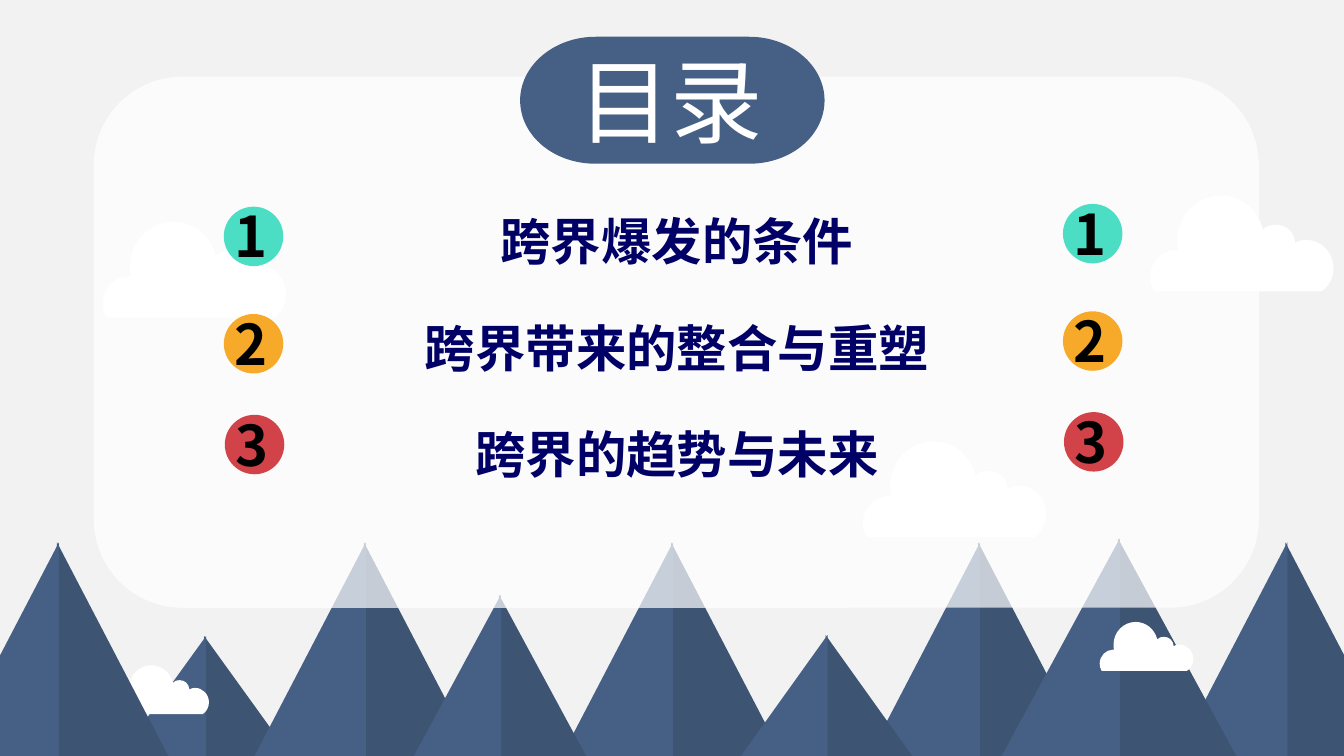
from dataclasses import dataclass

from lxml import etree
from pptx import Presentation
from pptx.dml.color import RGBColor
from pptx.enum.shapes import MSO_SHAPE
from pptx.enum.text import MSO_ANCHOR, MSO_AUTO_SIZE, PP_ALIGN
from pptx.oxml.ns import qn
from pptx.util import Inches, Pt

TRIANGLE, ELLIPSE, ROUNDED = MSO_SHAPE.RIGHT_TRIANGLE, MSO_SHAPE.OVAL, MSO_SHAPE.ROUNDED_RECTANGLE
TOP, GROW = MSO_ANCHOR.TOP, MSO_AUTO_SIZE.SHAPE_TO_FIT_TEXT
LEFT, CENTER = PP_ALIGN.LEFT, PP_ALIGN.CENTER

COLUMN = ROW = Inches(0.1)
COLUMNS, ROWS = 133.33, 75
OUTLINE_UNIT = COLUMN / 10
GROUND = 75.3
RIDGE_OVERLAP = 0.1
BADGE_SIZE = 5.9

WHITE, NAVY, SLATE = "FFFFFF", "466085", "3D5473"
TITLE_FORMAT = {"size": Pt(66), "bold": False, "name": "Noto Sans CJK JP"}
HEADING_FORMAT = {"size": Pt(36), "bold": True, "name": "Noto Sans CJK SC"}
DIGIT_FORMAT = {"size": Pt(40), "bold": True, "name": "Noto Sans CJK JP"}

CLOUD_OUTLINE = (
    (70, 0), (90, 0, 107, 14, 112, 34), (115, 30, 120, 29, 125, 29),
    (135, 29, 143, 36, 144, 47), (147, 45, 151, 44, 155, 44),
    (170, 44, 182, 57, 182, 72), (182, 82, 177, 90, 170, 95), (4, 95),
    (1, 91, 0, 86, 0, 81), (0, 66, 12, 54, 26, 54), (28, 54),
    (27, 51, 27, 48, 27, 44), (27, 20, 46, 0, 70, 0),
)
PILL_OUTLINE = (
    (75, 0), (227, 0), (269, 0, 302, 29, 302, 63),
    (302, 98, 269, 126, 227, 126), (75, 126),
    (33, 126, 0, 98, 0, 63), (0, 29, 33, 0, 75, 0),
)


@dataclass(frozen=True)
class Frame:
    column: float
    row: float
    columns: float
    rows: float

    def lengths(self) -> tuple[int, int, int, int]:
        return (round(self.column * COLUMN), round(self.row * ROW),
                round(self.columns * COLUMN), round(self.rows * ROW))


@dataclass(frozen=True)
class Cloud:
    column: float
    row: float
    scale: float = 1


@dataclass(frozen=True)
class Mountain:
    summit: float
    row: float
    half_width: float


@dataclass(frozen=True)
class Topic:
    number: int
    heading: str
    fill: str
    heading_columns: float
    badge_column: float
    badge_row: float


SKY_CLOUDS = (Cloud(114.1, 19.4), Cloud(10.2, 22), Cloud(85.6, 43.8))
LOW_CLOUDS = (Cloud(109.1, 61.7, 0.51), Cloud(11.45, 66, 0.51))
MOUNTAINS = (
    Mountain(20.35, 63.1, 8.8),
    *(Mountain(36.2 + 30.47 * step, 53.8, 11.2) for step in range(4)),
    Mountain(49.6, 59, 8.8),
    Mountain(111, 53.4, 11.9),
    Mountain(82, 63, 8.8),
)
FRONT_MOUNTAIN = Mountain(5.75, 53.8, 11.2)
TOPICS = (
    Topic(1, "跨界爆发的条件", "4BDEC4", 44.5, 22.2, 20.5),
    Topic(2, "跨界带来的整合与重塑", "F7AA2A", 54.5, 22.2, 31.15),
    Topic(3, "跨界的趋势与未来", "D14349", 44.5, 22.3, 41.15),
)


def color(value: str) -> RGBColor:
    return RGBColor.from_string(value)


def paint(shape, fill: str) -> None:
    shape.shadow.inherit = False
    shape.fill.solid()
    shape.fill.fore_color.rgb = color(fill)
    shape.line.fill.background()


def add_block(page, kind, frame: Frame, fill: str):
    shape = page.shapes.add_shape(kind, *frame.lengths())
    paint(shape, fill)
    return shape


def add_outline(page, outline: tuple, column: float, row: float, fill: str, scale: float = 1) -> None:
    unit = OUTLINE_UNIT * scale
    left, top = column * COLUMN, row * ROW
    corners = [(round(left + segment[-2] * unit), round(top + segment[-1] * unit)) for segment in outline]
    builder = page.shapes.build_freeform(*corners[0])
    builder.add_line_segments(corners[1:], close=True)
    shape = builder.convert_to_shape()
    paint(shape, fill)
    edges = list(shape.element.iter(qn("a:lnTo")))
    for edge, segment in zip(edges, outline[1:]):
        if len(segment) == 6:
            curve = etree.Element(qn("a:cubicBezTo"))
            for x, y in zip(segment[::2], segment[1::2]):
                point = etree.SubElement(curve, qn("a:pt"))
                point.set("x", str(round(x * unit)))
                point.set("y", str(round(y * unit)))
            edge.getparent().replace(edge, curve)


def add_mountain(page, mountain: Mountain) -> None:
    width, height = mountain.half_width, GROUND - mountain.row
    right = mountain.summit - RIDGE_OVERLAP
    left = mountain.summit + RIDGE_OVERLAP - width
    add_block(page, TRIANGLE, Frame(right, mountain.row, width, height), SLATE)
    face = add_block(page, TRIANGLE, Frame(left, mountain.row, width, height), NAVY)
    face.element.spPr.find(qn("a:xfrm")).set("flipH", "1")


def write(box, text: str, text_color: str, formats: dict, wrap: bool, align, spacing: float = 1) -> None:
    frame = box.text_frame
    for name, value in {"word_wrap": wrap, "auto_size": GROW, "vertical_anchor": TOP}.items():
        setattr(frame, name, value)
    para = frame.paragraphs[0]
    para.alignment, para.line_spacing = align, spacing
    span = para.add_run()
    span.text = text
    span.font.color.rgb = color(text_color)
    for name, value in formats.items():
        setattr(span.font, name, value)
    properties = span.font._element
    etree.SubElement(properties, qn("a:ea")).set("typeface", formats["name"])


def add_panel(page) -> None:
    panel = add_block(page, ROUNDED, Frame(9.3, 7.6, 115.6, 52.7), WHITE)
    panel.adjustments[0] = 0.167
    tint = panel.element.spPr.find(qn("a:solidFill"))[0]
    etree.SubElement(tint, qn("a:alpha")).set("val", "70000")


def add_title(page) -> None:
    add_outline(page, PILL_OUTLINE, 51.6, 3.65, NAVY)
    title = page.shapes.title
    title.left, title.top, title.width, title.height = Frame(56.35, 3.9, 20.5, 12.1).lengths()
    write(title, "目录", WHITE, TITLE_FORMAT, False, LEFT)
    title.element.getparent().append(title.element)


def add_topic(page, topic: Topic) -> None:
    heading_row = 18.9 + 10.52 * (topic.number - 1)
    heading_column = 67.15 - topic.heading_columns / 2
    heading = page.shapes.add_textbox(
        *Frame(heading_column, heading_row, topic.heading_columns, 8.6).lengths())
    write(heading, topic.heading, "000066", HEADING_FORMAT, True, CENTER, 1.25)
    for shift, lift in ((0, 0), (83.25, 0.27)):
        column, row = topic.badge_column + shift, topic.badge_row - lift
        add_block(page, ELLIPSE, Frame(column, row, BADGE_SIZE, BADGE_SIZE), topic.fill)
        digit = page.shapes.add_textbox(*Frame(column + 0.1, row - 0.95, 5.6, 7.7).lengths())
        write(digit, str(topic.number), "000000", DIGIT_FORMAT, False, LEFT)


def main() -> None:
    deck = Presentation()
    deck.slide_width, deck.slide_height = round(COLUMNS * COLUMN), ROWS * ROW
    page = deck.slides.add_slide(deck.slide_layouts.get_by_name("Title Only"))
    page.background.fill.solid()
    page.background.fill.fore_color.rgb = color("F2F2F2")
    for cloud in SKY_CLOUDS:
        add_outline(page, CLOUD_OUTLINE, cloud.column, cloud.row, WHITE, cloud.scale)
    for mountain in MOUNTAINS:
        add_mountain(page, mountain)
    for cloud in LOW_CLOUDS:
        add_outline(page, CLOUD_OUTLINE, cloud.column, cloud.row, WHITE, cloud.scale)
    add_mountain(page, FRONT_MOUNTAIN)
    add_panel(page)
    add_title(page)
    for topic in TOPICS:
        add_topic(page, topic)
    deck.save("out.pptx")


if __name__ == "__main__":
    main()
